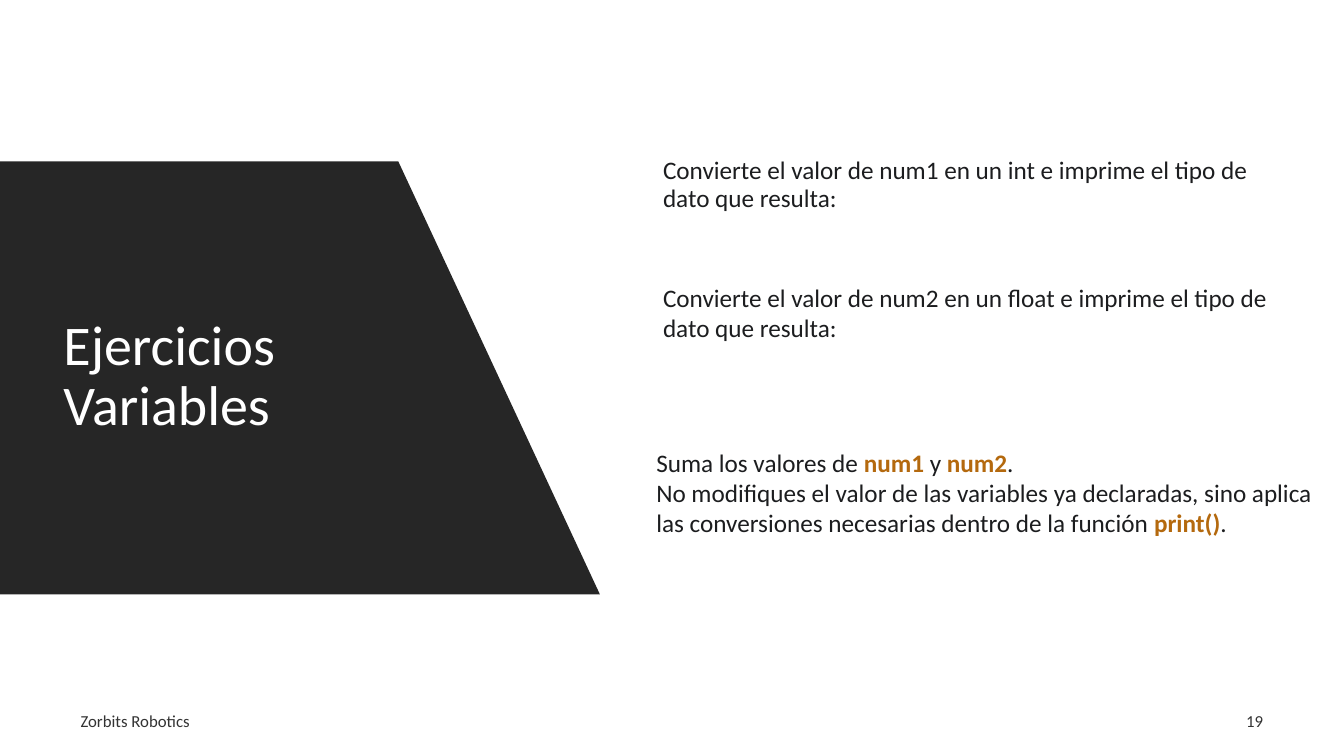
"""Build the exercise slide about converting variables."""
from dataclasses import dataclass

from pptx import Presentation
from pptx.dml.color import RGBColor
from pptx.enum.shapes import MSO_SHAPE
from pptx.enum.text import MSO_ANCHOR as Anchor, PP_ALIGN as Align
from pptx.util import Cm, Pt


@dataclass(frozen=True)
class Theme:
    font: str = "Calibri"
    panel: str = "262626"
    paper: str = "FFFFFF"
    body: str = "1C1D1F"
    code: str = "B4690E"
    footer: str = "333333"
    title_size: int = 40
    body_size: int = 18
    footer_size: int = 12


class SlideBuilder:
    def __init__(self, slide, theme):
        self.slide = slide
        self.theme = theme

    def paint(self, shape, color):
        shape.shadow.inherit = False
        shape.fill.solid()
        shape.fill.fore_color.rgb = RGBColor.from_string(color)
        shape.line.fill.background()

    def panel(self, points, color):
        corners = [(Cm(x), Cm(y)) for x, y in points]
        builder = self.slide.shapes.build_freeform(*corners[0])
        builder.add_line_segments(corners[1:], close=True)
        self.paint(builder.convert_to_shape(), color)

    def format_run(self, run, size, color, bold=False):
        run.font.name = self.theme.font
        run.font.size = Pt(size)
        run.font.bold = bold
        run.font.color.rgb = RGBColor.from_string(color)

    def text(self, box, text, size, color, anchor=Anchor.TOP, align=Align.LEFT,
             spacing=None, before=0, after=0):
        shape = self.slide.shapes.add_textbox(*map(Cm, box))
        text_frame = shape.text_frame
        text_frame.word_wrap = True
        text_frame.vertical_anchor = anchor
        text_frame.text = text
        paragraph = text_frame.paragraphs[0]
        paragraph.alignment = align
        paragraph.line_spacing = spacing
        paragraph.space_before = Pt(before)
        paragraph.space_after = Pt(after)
        self.format_run(paragraph.runs[0], size, color)

    def code_note(self, box, lines):
        shape = self.slide.shapes.add_shape(MSO_SHAPE.RECTANGLE, *map(Cm, box))
        self.paint(shape, self.theme.paper)
        text_frame = shape.text_frame
        text_frame.word_wrap = True
        text_frame.vertical_anchor = Anchor.MIDDLE
        text_frame.margin_left = text_frame.margin_right = 0
        text_frame.margin_top = text_frame.margin_bottom = 0
        for index, line in enumerate(lines):
            paragraph = text_frame.add_paragraph() if index else text_frame.paragraphs[0]
            paragraph.alignment = Align.LEFT
            for position, part in enumerate(line.split("`")):
                is_code = position % 2 == 1
                run = paragraph.add_run()
                run.text = part
                color = self.theme.code if is_code else self.theme.body
                self.format_run(run, self.theme.body_size, color, is_code)


def main():
    presentation = Presentation()
    presentation.slide_width = Cm(33.87)
    presentation.slide_height = Cm(19.05)
    slide = presentation.slides.add_slide(presentation.slide_layouts[6])
    theme = Theme()
    builder = SlideBuilder(slide, theme)

    builder.panel([(0, 4.07), (10.04, 4.07), (15.12, 14.98), (0, 14.98)], theme.panel)
    builder.text((1.35, 5.41, 9.07, 8.2), "Ejercicios Variables", theme.title_size,
                 theme.paper, anchor=Anchor.MIDDLE, spacing=0.9)

    footers = [((1.78, 17.65, 18.31, 1.02), "Zorbits Robotics", Align.LEFT),
               ((30.66, 17.65, 1.42, 1.02), "19", Align.RIGHT)]
    for box, text, align in footers:
        builder.text(box, text, theme.footer_size, theme.footer,
                     anchor=Anchor.MIDDLE, align=align, after=6)

    task = "Convierte el valor de {} en un {} e imprime el tipo de dato que resulta:"
    builder.text((16.46, 3.86, 15.27, 2.72), task.format("num1", "int"),
                 theme.body_size, theme.body, spacing=0.9, before=10)
    builder.text((16.46, 6.99, 16.94, 1.8), task.format("num2", "float"),
                 theme.body_size, theme.body)
    builder.code_note((16.54, 11.25, 17.33, 2.31), [
        "Suma los valores de\u00a0`num1`\u00a0y\u00a0`num2`.",
        "No modifiques el valor de las variables ya declaradas, sino aplica las "
        "conversiones necesarias dentro de la función\u00a0`print()`.",
    ])
    presentation.save("out.pptx")


main()
